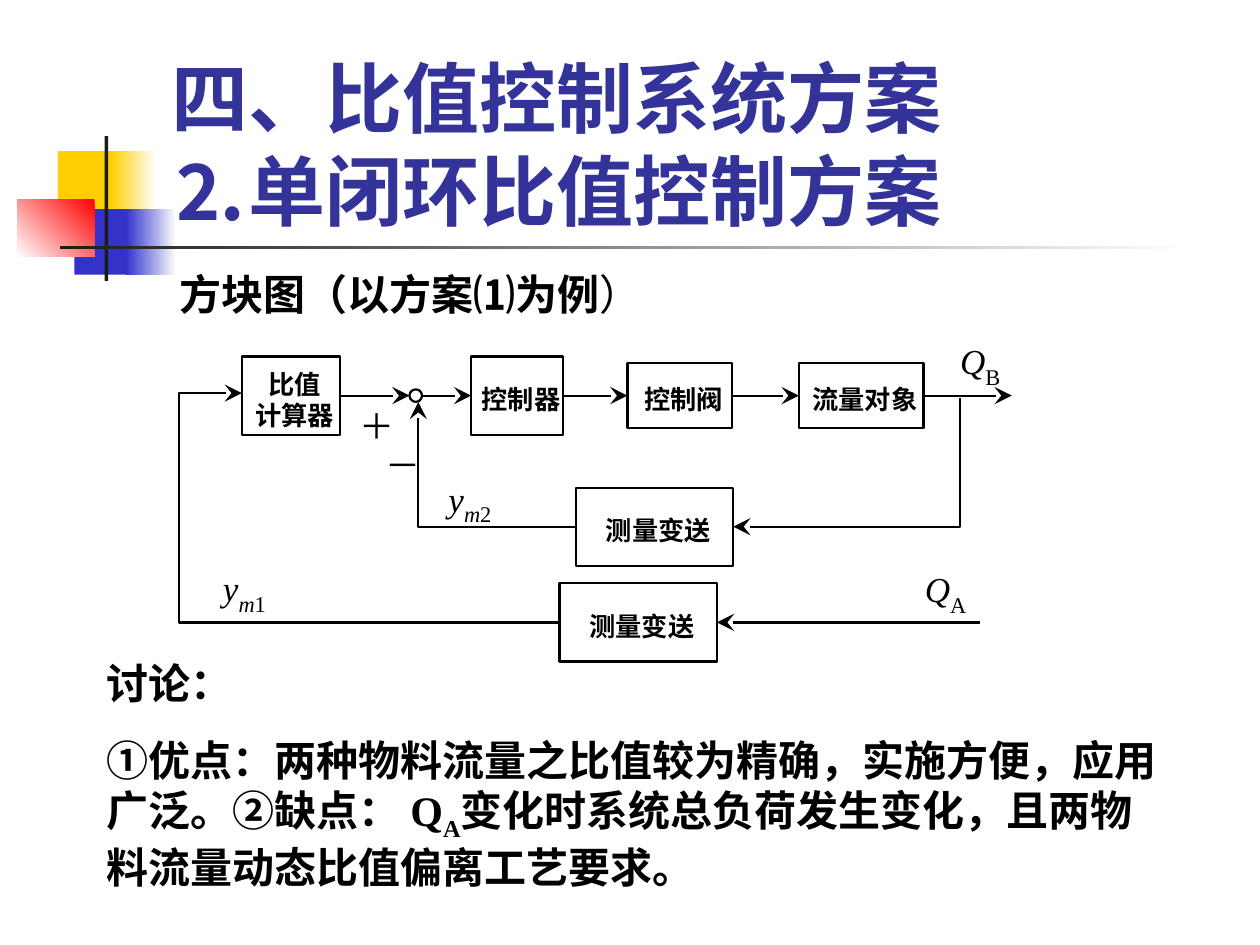
from lxml import etree
from pptx import Presentation
from pptx.dml.color import RGBColor
from pptx.enum import shapes, text
from pptx.oxml.ns import qn
from pptx.util import Inches, Pt

BLACK = RGBColor(0, 0, 0)
WHITE = RGBColor(255, 255, 255)
CHARCOAL = RGBColor(0x1C, 0x1C, 0x1C)
YELLOW = RGBColor(0xFF, 0xCF, 0x01)
BLUE = RGBColor(0x33, 0x33, 0xCC)
RED = RGBColor(0xFF, 0, 0)
TITLE_BLUE = RGBColor(0x33, 0x33, 0x99)
CABIN, CJK, TIMES = "Cabin", "Noto Sans CJK SC", "Times New Roman"
TOP, LEFT, BOTTOM, RIGHT = range(4)

# left, top, width, height, colours (two make a gradient), gradient angle
DECORATION = [
    (0.46, 1.2, 0.48, 0.52, [YELLOW], 0),
    (0.88, 1.2, 0.36, 0.52, [WHITE, YELLOW], 180),
    (0.59, 1.66, 0.46, 0.52, [BLUE], 0),
    (1, 1.66, 0.4, 0.52, [WHITE, BLUE], 180),
    (0.14, 1.58, 0.61, 0.46, [RED, WHITE], 225),
    (0.83, 1.08, 0.03, 1.15, [CHARCOAL], 0),
    (0.48, 1.95, 9, 0.03, [WHITE, CHARCOAL], 180),
]

FORWARD_Y, FEEDBACK_Y, INPUT_Y = 3.14, 4.18, 4.94
SUM_X, SUM_SIZE = 3.3, 0.1
# name: label, left, width, height, centre line
BLOCKS = {
    "ratio": ("比值\v计算器", 1.92, 0.78, 0.62, FORWARD_Y),
    "controller": ("控制器", 3.74, 0.73, 0.62, FORWARD_Y),
    "valve": ("控制阀", 4.98, 0.83, 0.52, FORWARD_Y),
    "process": ("流量对象", 6.34, 0.99, 0.52, FORWARD_Y),
    "meter_b": ("测量变送", 4.57, 1.25, 0.62, FEEDBACK_Y),
    "meter_a": ("测量变送", 4.44, 1.25, 0.62, INPUT_Y),
}
# each end is a point or a (block, side) pair
ARROWS = [
    (("ratio", RIGHT), (SUM_X - SUM_SIZE / 2, FORWARD_Y)),
    ((SUM_X + SUM_SIZE / 2, FORWARD_Y), ("controller", LEFT)),
    (("controller", RIGHT), ("valve", LEFT)),
    (("valve", RIGHT), ("process", LEFT)),
    (("process", RIGHT), (8.03, FORWARD_Y)),
    ((7.78, INPUT_Y), ("meter_a", RIGHT)),
]
BENT_ARROWS = [
    [(7.62, 3.16), (7.62, FEEDBACK_Y), (5.82, FEEDBACK_Y)],
    [(4.57, FEEDBACK_Y), (3.32, FEEDBACK_Y), (3.32, 3.19)],
    [(4.44, INPUT_Y), (1.42, INPUT_Y), (1.42, 3.12), (1.92, 3.12)],
]
# left, top, letter, italic subscript, upright subscript
SIGNALS = [
    (7.62, 2.67, "Q", "", "B"),
    (3.56, 3.76, "y", "m", "2"),
    (7.34, 4.48, "Q", "", "A"),
    (1.77, 4.47, "y", "m", "1"),
]
SIGNS = [(2.85, 3.21, "＋"), (3.06, 3.52, "－")]

TITLE = "四、比值控制系统方案\v⒉单闭环比值控制方案"
# runs: text, font, bold, baseline
SUBTITLE = [[("方块图（以方案⑴为例", CABIN, True, 0), ("）", CABIN, False, 0)]]
DISCUSSION = [
    [("讨论：", CABIN, True, 0)],
    [("①优点：两种物料流量之比值较为精确，实施方便，应用广泛。②缺点： ", CABIN, True, 0),
     ("Q", TIMES, True, 0),
     ("A", TIMES, True, -25),
     ("变化时系统总负荷发生变化，且两物料流量动态比值偏离工艺要求。", CABIN, True, 0)],
]

prs = Presentation()
prs.slide_width, prs.slide_height = Inches(10), Inches(7.5)
s = prs.slides.add_slide(prs.slide_layouts[6])


def style(font, size, name, bold=False, italic=False, color=BLACK):
    font.size, font.name = Pt(size), name
    font.bold, font.italic = bold, italic
    font.color.rgb = color


def set_line(line, arrow=False):
    line.color.rgb, line.width = BLACK, Pt(1.25)
    if arrow:
        etree.SubElement(line._get_or_add_ln(), qn("a:tailEnd"),
                         type="stealth", w="lg", len="lg")


def add_preset(kind, x, y, w, h, fill):
    sp = s.shapes.add_shape(kind, *map(Inches, (x, y, w, h)))
    sp.shadow.inherit = False
    sp.fill.solid()
    sp.fill.fore_color.rgb = fill
    sp.line.fill.background()
    return sp


def add_text(x, y, w, h, inset=True, wrap=True):
    tf = s.shapes.add_textbox(*map(Inches, (x, y, w, h))).text_frame
    tf.word_wrap = wrap
    if not inset:
        tf.margin_left = tf.margin_right = tf.margin_top = tf.margin_bottom = 0
    return tf


def add_run(p, words, size, name, bold=False, italic=False, baseline=0):
    r = p.add_run()
    r.text = words
    style(r.font, size, name, bold, italic)
    if baseline:
        r.font._element.set("baseline", str(baseline * 1000))


def add_paragraphs(tf, paragraphs):
    for i, runs in enumerate(paragraphs):
        p = tf.add_paragraph() if i else tf.paragraphs[0]
        if i:
            p.space_before = Pt(15)
        for words, name, bold, baseline in runs:
            add_run(p, words, 24, name, bold, baseline=baseline)


for x, y, w, h, colors, angle in DECORATION:
    sp = add_preset(shapes.MSO_SHAPE.RECTANGLE, x, y, w, h, colors[0])
    if len(colors) > 1:
        sp.fill.gradient()
        sp.fill.gradient_angle = angle
        for stop, color in zip(sp.fill.gradient_stops, colors):
            stop.color.rgb = color

tf = add_text(1.26, 0.67, 8.52, 1.25)
tf.vertical_anchor = text.MSO_ANCHOR.BOTTOM
tf.text = TITLE
style(tf.paragraphs[0].font, 44, CABIN, True, color=TITLE_BLUE)

blocks = {}
for name, (label, x, w, h, center) in BLOCKS.items():
    sp = blocks[name] = add_preset(shapes.MSO_SHAPE.RECTANGLE, x, center - h / 2, w, h, WHITE)
    set_line(sp.line)
    tf = sp.text_frame
    tf.word_wrap = False
    tf.margin_left = tf.margin_top = Inches(0.06)
    tf.margin_right = tf.margin_bottom = 0
    tf.vertical_anchor = text.MSO_ANCHOR.MIDDLE
    p = tf.paragraphs[0]
    p.text = label
    p.alignment = text.PP_ALIGN.CENTER
    p.line_spacing = Pt(18)
    style(p.font, 15, CJK, True)

sp = add_preset(shapes.MSO_SHAPE.OVAL, SUM_X - SUM_SIZE / 2, FORWARD_Y - SUM_SIZE / 2,
                SUM_SIZE, SUM_SIZE, WHITE)
set_line(sp.line)

for start, end in ARROWS:
    points = [(0, 0) if e[0] in blocks else e for e in (start, end)]
    c = s.shapes.add_connector(shapes.MSO_CONNECTOR.STRAIGHT,
                               *(Inches(v) for point in points for v in point))
    for e, connect in ((start, c.begin_connect), (end, c.end_connect)):
        if e[0] in blocks:
            connect(blocks[e[0]], e[1])
    set_line(c.line, arrow=True)
    etree.SubElement(c._element.spPr, qn("a:effectLst"))

for route in BENT_ARROWS:
    points = [(Inches(x), Inches(y)) for x, y in route]
    builder = s.shapes.build_freeform(*points[0])
    builder.add_line_segments(points[1:], close=False)
    sp = builder.convert_to_shape()
    sp.shadow.inherit = False
    sp.fill.background()
    set_line(sp.line, arrow=True)

for x, y, sign in SIGNS:
    p = add_text(x, y, 0.28, 0.33, inset=False, wrap=False).paragraphs[0]
    p.text = sign
    style(p.font, 20, CJK)

for x, y, letter, italic_sub, upright_sub in SIGNALS:
    p = add_text(x, y, 0.34, 0.39, inset=False, wrap=False).paragraphs[0]
    add_run(p, letter, 20, TIMES, italic=True)
    if italic_sub:
        add_run(p, italic_sub, 22, TIMES, italic=True, baseline=-27)
    add_run(p, upright_sub, 22, TIMES, baseline=-27)

add_paragraphs(add_text(1.33, 2.08, 4.58, 0.5), SUBTITLE)
add_paragraphs(add_text(0.75, 5.17, 8.67, 1.97), DISCUSSION)

prs.save("out.pptx")
